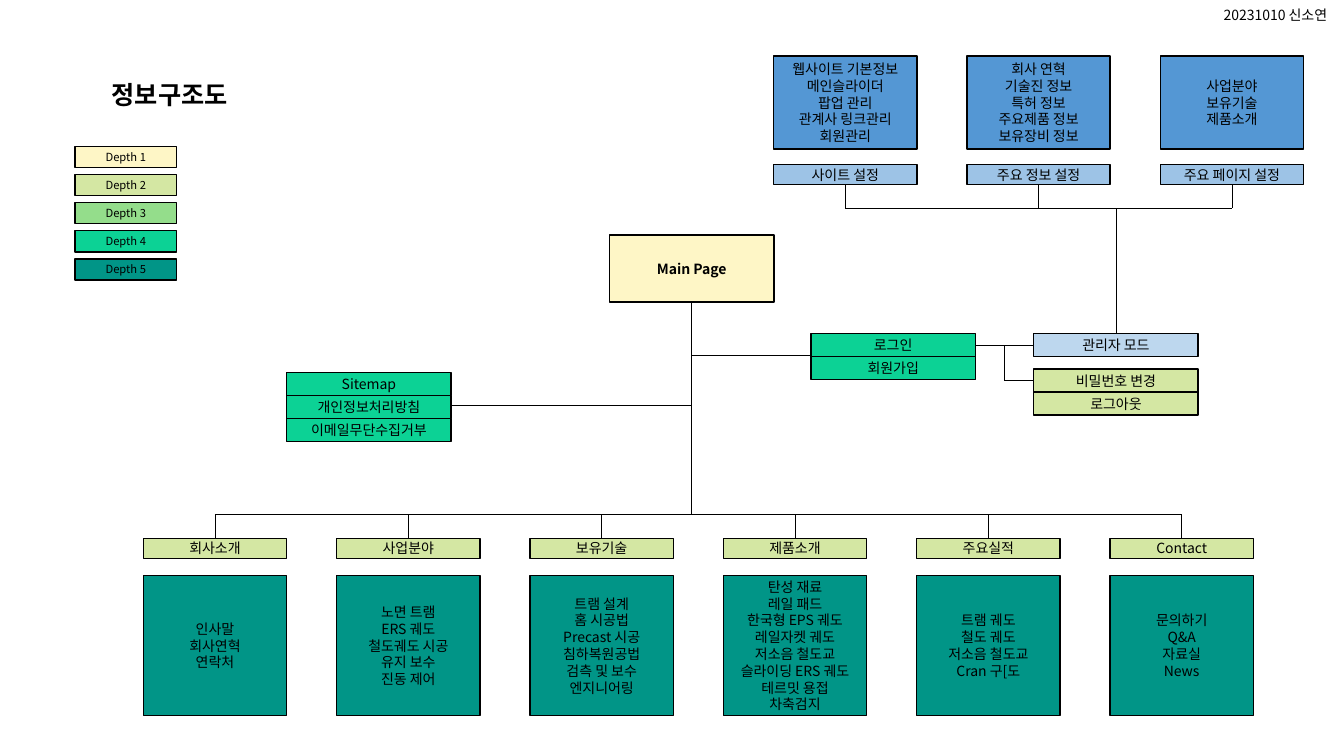
from lxml.etree import SubElement
from pptx import Presentation
from pptx.dml.color import RGBColor
from pptx.enum.shapes import MSO_CONNECTOR as Connector, MSO_SHAPE as Shape
from pptx.enum.text import MSO_ANCHOR as Anchor, MSO_AUTO_SIZE as AutoSize, PP_ALIGN as Align
from pptx.oxml.ns import qn
from pptx.util import Pt

FONT = "Noto Sans CJK KR"
COLORS = {
    "black": "000000",
    "depth1": "FEF6C6",
    "depth2": "D4E7A3",
    "depth3": "94DD8B",
    "depth4": "0CD295",
    "depth5": "019587",
    "admin": "BDD7EE",
    "setting": "9DC3E6",
    "detail": "5497D4",
}
BLACK = RGBColor.from_string(COLORS["black"])

deck = Presentation()
deck.slide_width, deck.slide_height = Pt(960), Pt(540)
page = deck.slides.add_slide(deck.slide_layouts[6])


def add_box(lines, left, top, width, height, fill=None, size=10, bold=False):
    """Add a filled, centred box, or a plain label when there is no fill."""
    area = Pt(left), Pt(top), Pt(width), Pt(height)
    if fill:
        box = page.shapes.add_shape(Shape.RECTANGLE, *area)
        box.shadow.inherit = False
        box.fill.solid()
        box.fill.fore_color.rgb = RGBColor.from_string(COLORS[fill])
        box.line.color.rgb = BLACK
        box.line.width = Pt(1)
        frame = box.text_frame
        frame.margin_left = frame.margin_right = 0
        frame.margin_top = frame.margin_bottom = 0
        frame.vertical_anchor = Anchor.MIDDLE
        frame.word_wrap = True
    else:
        box = page.shapes.add_textbox(*area)
        frame = box.text_frame
        frame.word_wrap = False
        frame.auto_size = AutoSize.SHAPE_TO_FIT_TEXT
    for index, line in enumerate(lines):
        para = frame.add_paragraph() if index else frame.paragraphs[0]
        para.alignment = Align.CENTER if fill else Align.LEFT
        para.line_spacing = Pt(size * 1.2)
        span = para.add_run()
        span.text = line
        span.font.name = FONT
        span.font.size = Pt(size)
        span.font.bold = bold
        span.font.color.rgb = BLACK
        SubElement(span.font._element, qn("a:ea"), typeface=FONT)
    return box


def add_line(x1, y1, x2, y2, start=None, end=None):
    """Add a thin line; start and end are (box, side) pairs to join."""
    line = page.shapes.add_connector(Connector.STRAIGHT, Pt(x1), Pt(y1), Pt(x2), Pt(y2))
    line.line.color.rgb = BLACK
    line.line.width = Pt(0.5)
    SubElement(line._element.spPr, qn("a:effectLst"))
    if start:
        line.begin_connect(*start)
    if end:
        line.end_connect(*end)


# Title and author
add_box(["정보구조도"], 72.7, 53.3, 105, 28.8, size=18, bold=True)
add_box(["20231010 신소연"], 866.9, 1.4, 93, 19.2)

# Depth legend
for depth in range(1, 6):
    add_box([f"Depth {depth}"], 53.6, 104.5 + 20.1 * (depth - 1), 72.6, 15.2, f"depth{depth}", size=8)

# Main page and its trunk
TRUNK_X, MENU_BUS_Y = 494.1, 367.3
WIDE, ROW = 117.4, 16.4
main = add_box(["Main Page"], TRUNK_X - WIDE / 2, 167.8, WIDE, 48, "depth1", bold=True)
add_line(TRUNK_X, 215.8, TRUNK_X, MENU_BUS_Y, start=(main, 2))

# Stacks of single rows beside the trunk
stacks = [
    (204.8, 266.3, "depth4", ["Sitemap", "개인정보처리방침", "이메일무단수집거부"]),
    (579.3, 238.3, "depth4", ["로그인", "회원가입"]),
    (738.4, 238.3, "admin", ["관리자 모드"]),
    (738.4, 263.7, "depth2", ["비밀번호 변경", "로그아웃"]),
]
rows = {}
for left, top, fill, names in stacks:
    for index, name in enumerate(names):
        rows[name] = add_box([name], left, top + index * ROW, WIDE, ROW, fill)
login, admin, password = rows["로그인"], rows["관리자 모드"], rows["비밀번호 변경"]

add_line(322.2, 289.6, TRUNK_X, 289.6)
add_line(TRUNK_X, 254, 579.3, 254)
add_line(696.7, 246.5, 738.4, 246.5, start=(login, 3), end=(admin, 1))
add_line(717.4, 246.5, 717.4, 271.9)
add_line(717.4, 271.9, 738.4, 271.9, end=(password, 1))

# Column grid shared by the settings and the menus
COLUMN, PITCH, HEADER = 102.3, 138.1, 14.4

# Settings above the admin mode
SETTING_LEFT, SETTING_TOP, SETTING_BUS_Y = 552.6, 117.4, 148.8
settings = [
    ("사이트 설정", ["웹사이트 기본정보", "메인슬라이더", "팝업 관리", "관계사 링크관리", "회원관리"]),
    ("주요 정보 설정", ["회사 연혁", "기술진 정보", "특허 정보", "주요제품 정보", "보유장비 정보"]),
    ("주요 페이지 설정", ["사업분야", "보유기술", "제품소개"]),
]
for index, (name, details) in enumerate(settings):
    left = SETTING_LEFT + index * PITCH
    center = left + COLUMN / 2
    add_box(details, left, 40, COLUMN, 66.4, "detail")
    header = add_box([name], left, SETTING_TOP, COLUMN, HEADER, "setting")
    add_line(center, SETTING_TOP + HEADER, center, SETTING_BUS_Y, start=(header, 2))
first = SETTING_LEFT + COLUMN / 2
add_line(first, SETTING_BUS_Y, first + 2 * PITCH, SETTING_BUS_Y)
add_line(797.1, SETTING_BUS_Y, 797.1, 238.3, end=(admin, 0))

# Menus below the trunk
MENU_LEFT, MENU_TOP = 102.4, 384.5
menus = [
    ("회사소개", ["인사말", "회사연혁", "연락처"]),
    ("사업분야", ["노면 트램", "ERS 궤도", "철도궤도 시공", "유지 보수", "진동 제어"]),
    ("보유기술", ["트램 설계", "홈 시공법", "Precast 시공", "침하복원공법", "검측 및 보수", "엔지니어링"]),
    ("제품소개", ["탄성 재료", "레일 패드", "한국형 EPS 궤도", "레일자켓 궤도", "저소음 철도교",
              "슬라이딩 ERS 궤도", "테르밋 용접", "차축검지"]),
    ("주요실적", ["트램 궤도", "철도 궤도", "저소음 철도교", "Cran 구[도"]),
    ("Contact", ["문의하기", "Q&A", "자료실", "News"]),
]
for index, (name, items) in enumerate(menus):
    left = MENU_LEFT + index * PITCH
    center = left + COLUMN / 2
    header = add_box([name], left, MENU_TOP, COLUMN, HEADER, "depth2")
    add_box(items, left, 411, COLUMN, 100.2, "depth5")
    add_line(center, MENU_BUS_Y, center, MENU_TOP, end=(header, 0))
first = MENU_LEFT + COLUMN / 2
add_line(first, MENU_BUS_Y, first + 5 * PITCH, MENU_BUS_Y)

deck.save("out.pptx")
